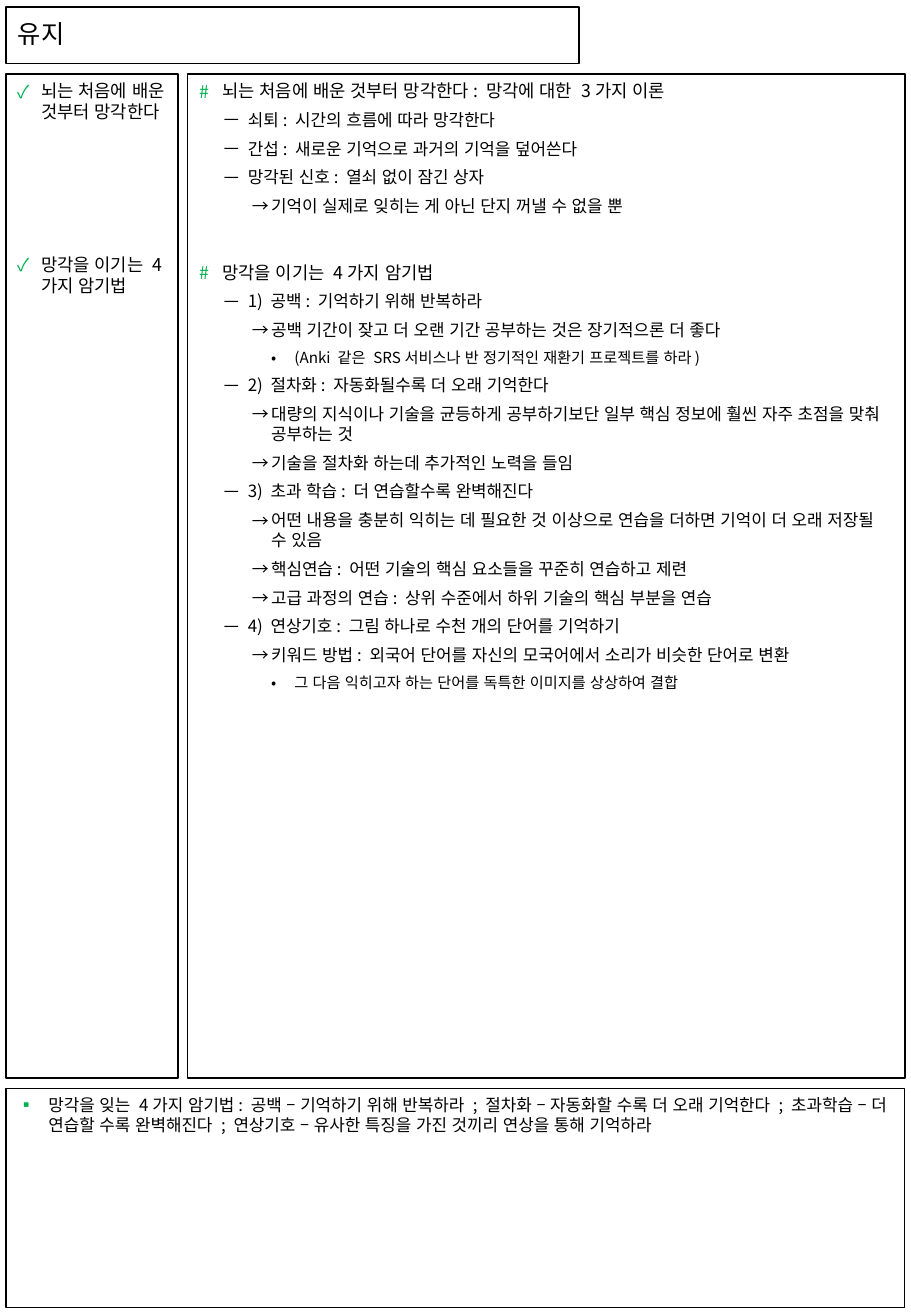
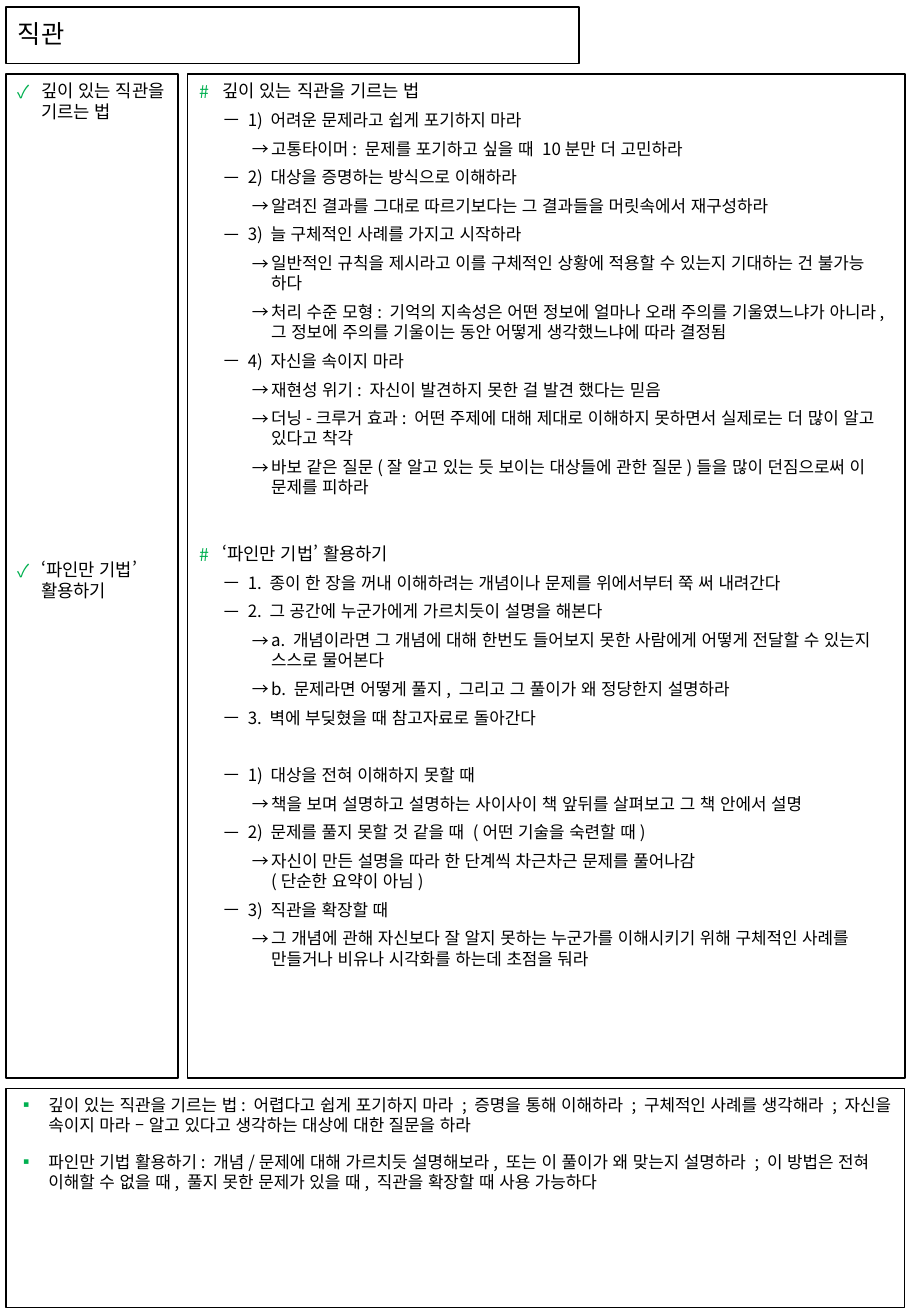
from dataclasses import dataclass

from lxml.etree import SubElement
from pptx import Presentation
from pptx.dml.color import RGBColor
from pptx.enum.lang import MSO_LANGUAGE_ID
from pptx.enum.shapes import MSO_SHAPE
from pptx.enum.text import MSO_ANCHOR, PP_ALIGN
from pptx.oxml.ns import qn
from pptx.util import Emu, Pt

PX = 7620
BLACK = RGBColor(0x00, 0x00, 0x00)
GREEN = RGBColor(0x00, 0xB0, 0x50)
FONT = "Noto Sans CJK KR"
LEADING = 1.2

TITLE_BOX = (6, 7, 566, 56)
CUE_BOX = (6, 73, 170, 992)
NOTES_BOX = (185, 73, 709, 992)
SUMMARY_BOX = (6, 1075, 888, 217)


@dataclass
class Level:
    """Bullet, indents in px, and sizes in points of one outline level."""
    bullet: str
    margin: int
    hanging: int
    size: float
    before: int
    colour: RGBColor = BLACK


CUE = Level("✓", 23, 23, 10.5, 10, GREEN)
TOPIC = Level("#", 23, 23, 10.5, 10, GREEN)
POINT = Level("ￚ", 48, 24, 10, 5)
DETAIL = Level("→", 71, 19, 10, 5)
REMARK = Level("•", 94, 23, 9, 5)
SUMMARY = Level("▪", 30, 30, 10, 10, GREEN)

CUE_LINE = CUE.size * LEADING + CUE.before
NOTES_LINE = DETAIL.size * LEADING + DETAIL.before

PAGES = [
    {
        "title": "유지",
        "cues": [
            (CUE, "뇌는 처음에 배운 것부터 망각한다"),
            (CUE, "망각을 이기는 4가지 암기법", 3 * CUE_LINE),
        ],
        "notes": [
            (TOPIC, "뇌는 처음에 배운 것부터 망각한다: 망각에 대한 3가지 이론"),
            (POINT, "쇠퇴: 시간의 흐름에 따라 망각한다"),
            (POINT, "간섭: 새로운 기억으로 과거의 기억을 덮어쓴다"),
            (POINT, "망각된 신호: 열쇠 없이 잠긴 상자"),
            (DETAIL, "기억이 실제로 잊히는 게 아닌 단지 꺼낼 수 없을 뿐"),
            (TOPIC, "망각을 이기는 4가지 암기법", NOTES_LINE),
            (POINT, "1) 공백: 기억하기 위해 반복하라"),
            (DETAIL, "공백 기간이 잦고 더 오랜 기간 공부하는 것은 장기적으론 더 좋다"),
            (REMARK, "(Anki 같은 SRS서비스나 반 정기적인 재환기 프로젝트를 하라)"),
            (POINT, "2) 절차화: 자동화될수록 더 오래 기억한다"),
            (DETAIL, "대량의 지식이나 기술을 균등하게 공부하기보단 일부 핵심 정보에 "
                     "훨씬 자주 초점을 맞춰 공부하는 것"),
            (DETAIL, "기술을 절차화 하는데 추가적인 노력을 들임"),
            (POINT, "3) 초과 학습: 더 연습할수록 완벽해진다"),
            (DETAIL, "어떤 내용을 충분히 익히는 데 필요한 것 이상으로 연습을 더하면 "
                     "기억이 더 오래 저장될 수 있음"),
            (DETAIL, "핵심연습: 어떤 기술의 핵심 요소들을 꾸준히 연습하고 제련"),
            (DETAIL, "고급 과정의 연습: 상위 수준에서 하위 기술의 핵심 부분을 연습"),
            (POINT, "4) 연상기호: 그림 하나로 수천 개의 단어를 기억하기"),
            (DETAIL, "키워드 방법: 외국어 단어를 자신의 모국어에서 소리가 비슷한 단어로 변환"),
            (REMARK, "그 다음 익히고자 하는 단어를 독특한 이미지를 상상하여 결합"),
        ],
        "summary": [
            (SUMMARY, "망각을 잊는 4가지 암기법: 공백 – 기억하기 위해 반복하라 ; "
                      "절차화 – 자동화할 수록 더 오래 기억한다 ; "
                      "초과학습 – 더 연습할 수록 완벽해진다 ; "
                      "연상기호 – 유사한 특징을 가진 것끼리 연상을 통해 기억하라"),
        ],
    },
    {
        "title": "직관",
        "cues": [
            (CUE, "깊이 있는 직관을 기르는 법"),
            (CUE, "‘파인만 기법’ 활용하기", 11 * CUE_LINE),
        ],
        "notes": [
            (TOPIC, "깊이 있는 직관을 기르는 법"),
            (POINT, "1) 어려운 문제라고 쉽게 포기하지 마라"),
            (DETAIL, "고통타이머: 문제를 포기하고 싶을 때 10분만 더 고민하라"),
            (POINT, "2) 대상을 증명하는 방식으로 이해하라"),
            (DETAIL, "알려진 결과를 그대로 따르기보다는 그 결과들을 머릿속에서 재구성하라"),
            (POINT, "3) 늘 구체적인 사례를 가지고 시작하라"),
            (DETAIL, "일반적인 규칙을 제시라고 이를 구체적인 상황에 적용할 수 있는지 "
                     "기대하는 건 불가능 하다"),
            (DETAIL, "처리 수준 모형: 기억의 지속성은 어떤 정보에 얼마나 오래 주의를 "
                     "기울였느냐가 아니라, 그 정보에 주의를 기울이는 동안 어떻게 "
                     "생각했느냐에 따라 결정됨"),
            (POINT, "4) 자신을 속이지 마라"),
            (DETAIL, "재현성 위기: 자신이 발견하지 못한 걸 발견 했다는 믿음"),
            (DETAIL, "더닝-크루거 효과: 어떤 주제에 대해 제대로 이해하지 못하면서 "
                     "실제로는 더 많이 알고 있다고 착각"),
            (DETAIL, "바보 같은 질문(잘 알고 있는 듯 보이는 대상들에 관한 질문)들을 "
                     "많이 던짐으로써 이 문제를 피하라"),
            (TOPIC, "‘파인만 기법’ 활용하기", NOTES_LINE),
            (POINT, "1. 종이 한 장을 꺼내 이해하려는 개념이나 문제를 위에서부터 쭉 써 내려간다"),
            (POINT, "2. 그 공간에 누군가에게 가르치듯이 설명을 해본다"),
            (DETAIL, "a. 개념이라면 그 개념에 대해 한번도 들어보지 못한 사람에게 "
                     "어떻게 전달할 수 있는지 스스로 물어본다"),
            (DETAIL, "b. 문제라면 어떻게 풀지, 그리고 그 풀이가 왜 정당한지 설명하라"),
            (POINT, "3. 벽에 부딪혔을 때 참고자료로 돌아간다"),
            (POINT, "1) 대상을 전혀 이해하지 못할 때", NOTES_LINE),
            (DETAIL, "책을 보며 설명하고 설명하는 사이사이 책 앞뒤를 살펴보고 그 책 안에서 설명"),
            (POINT, "2) 문제를 풀지 못할 것 같을 때 (어떤 기술을 숙련할 때)"),
            (DETAIL, "자신이 만든 설명을 따라 한 단계씩 차근차근 문제를 풀어나감\n"
                     "(단순한 요약이 아님)"),
            (POINT, "3) 직관을 확장할 때"),
            (DETAIL, "그 개념에 관해 자신보다 잘 알지 못하는 누군가를 이해시키기 위해 "
                     "구체적인 사례를 만들거나 비유나 시각화를 하는데 초점을 둬라"),
        ],
        "summary": [
            (SUMMARY, "깊이 있는 직관을 기르는 법: 어렵다고 쉽게 포기하지 마라 ; "
                      "증명을 통해 이해하라 ; 구체적인 사례를 생각해라 ; "
                      "자신을 속이지 마라 – 알고 있다고 생각하는 대상에 대한 질문을 하라"),
            (SUMMARY, "파인만 기법 활용하기: 개념/문제에 대해 가르치듯 설명해보라, "
                      "또는 이 풀이가 왜 맞는지 설명하라 ; 이 방법은 전혀 이해할 수 없을 때, "
                      "풀지 못한 문제가 있을 때, 직관을 확장할 때 사용 가능하다"),
        ],
    },
]


def add_frame(slide, box, anchor=MSO_ANCHOR.TOP):
    """Draw an outlined box and return its text frame."""
    frame = slide.shapes.add_shape(MSO_SHAPE.RECTANGLE, *(Emu(n * PX) for n in box))
    frame.shadow.inherit = False
    frame.fill.background()
    frame.line.color.rgb = BLACK
    frame.line.width = Pt(0.75)
    frame.text_frame.word_wrap = True
    frame.text_frame.vertical_anchor = anchor
    return frame.text_frame


def write(paragraph, text, size):
    """Put left-aligned text in the shared font into a paragraph."""
    paragraph.text = text
    paragraph.alignment = PP_ALIGN.LEFT
    for run in paragraph.runs:
        run.font.size = Pt(size)
        run.font.color.rgb = BLACK
        run.font.name = FONT
        run.font.language_id = MSO_LANGUAGE_ID.KOREAN
        SubElement(run.font._element, qn("a:ea"), typeface=FONT)


def set_bullet(paragraph, level):
    """Give a paragraph the bullet and hanging indent of its level."""
    properties = paragraph._p.get_or_add_pPr()
    properties.set("marL", str(level.margin * PX))
    properties.set("indent", str(-level.hanging * PX))
    colour = SubElement(properties, qn("a:buClr"))
    SubElement(colour, qn("a:srgbClr"), val=str(level.colour))
    SubElement(properties, qn("a:buFont"), typeface=FONT)
    SubElement(properties, qn("a:buChar"), char=level.bullet)


def add_title(slide, title):
    """Add the boxed page title."""
    heading = add_frame(slide, TITLE_BOX, MSO_ANCHOR.MIDDLE).paragraphs[0]
    write(heading, title, 15)
    heading.line_spacing = 0.9


def add_outline(slide, box, items):
    """Add a box of bulleted paragraphs, with an optional extra gap before each."""
    outline = add_frame(slide, box)
    for index, (level, text, *gap) in enumerate(items):
        entry = outline.add_paragraph() if index else outline.paragraphs[0]
        set_bullet(entry, level)
        write(entry, text, level.size)
        entry.line_spacing = Pt(level.size * LEADING)
        entry.space_before = Pt(level.before + sum(gap) if index else 0)


def main():
    """Build the note pages and save them."""
    deck = Presentation()
    deck.slide_width, deck.slide_height = Emu(900 * PX), Emu(1300 * PX)
    for page in PAGES:
        slide = deck.slides.add_slide(deck.slide_layouts[6])
        add_title(slide, page["title"])
        add_outline(slide, CUE_BOX, page["cues"])
        add_outline(slide, NOTES_BOX, page["notes"])
        add_outline(slide, SUMMARY_BOX, page["summary"])
    deck.save("out.pptx")


if __name__ == "__main__":
    main()
